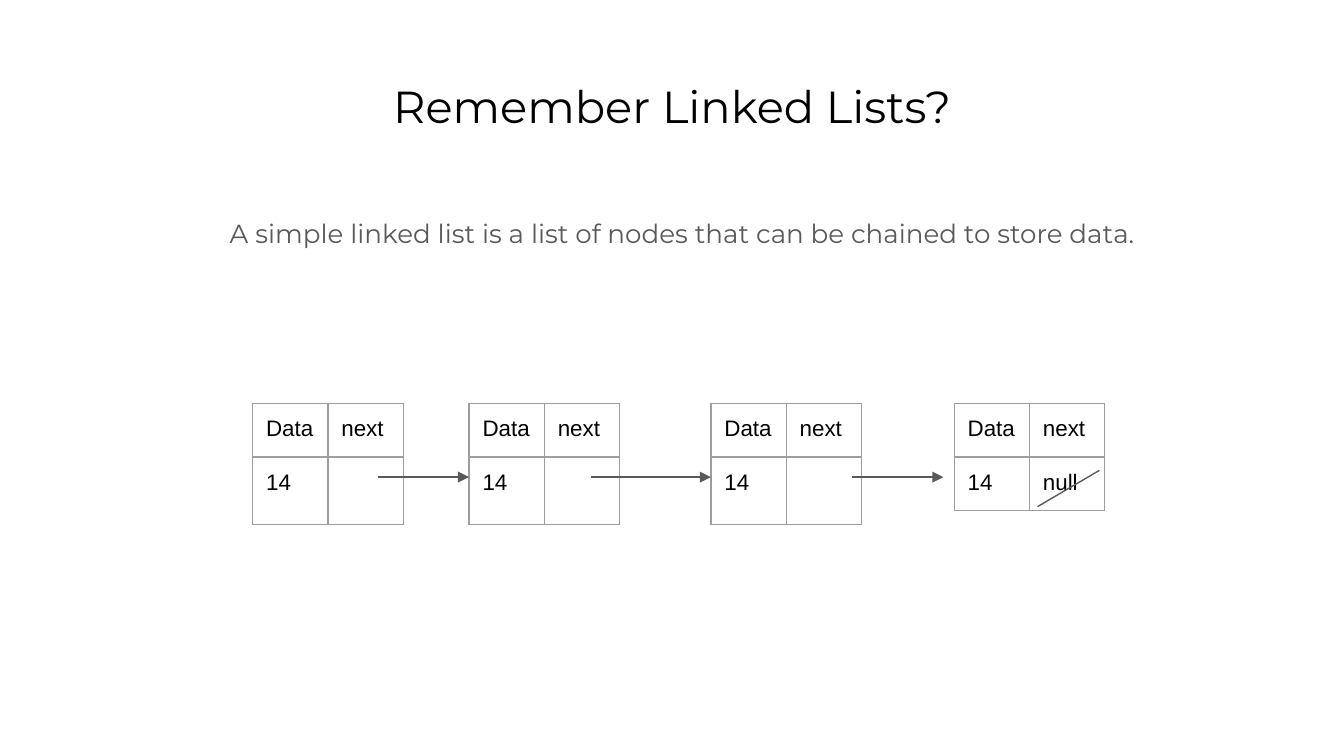
from lxml.etree import SubElement
from pptx import Presentation
from pptx.dml.color import RGBColor
from pptx.enum.shapes import MSO_CONNECTOR as Connector
from pptx.enum.text import MSO_ANCHOR as Anchor, PP_ALIGN as Align
from pptx.oxml.ns import qn
from pptx.util import Inches, Pt


def color(hex_code):
    return RGBColor.from_string(hex_code)


def write(frame, text, size=12, font="Arial", ink="000000", align=Align.LEFT,
          spacing=None, top=0.1):
    frame.word_wrap = True
    frame.vertical_anchor = Anchor.TOP
    frame.margin_left = frame.margin_right = frame.margin_bottom = Inches(0.1)
    frame.margin_top = Inches(top)
    paragraph = frame.paragraphs[0]
    paragraph.alignment = align
    paragraph.line_spacing = spacing
    run = paragraph.add_run()
    run.text = text
    run.font.size = Pt(size)
    run.font.name = font
    run.font.color.rgb = color(ink)


# Widescreen slide, 16 to 9
presentation = Presentation()
presentation.slide_width = Inches(10)
presentation.slide_height = Inches(10 * 9 / 16)
slide = presentation.slides.add_slide(presentation.slide_layouts[5])

# Grid: 100 columns across the slide, with rows of the same size
unit = presentation.slide_width / 100

# Title
title = slide.shapes.title
title.left, title.top = int(3.4 * unit), int(4.87 * unit)
title.width, title.height = int(93.2 * unit), int(6.3 * unit)
write(title.text_frame, "Remember Linked Lists?", size=24, font="Montserrat",
      align=Align.CENTER)

# Explanation
body = slide.shapes.add_textbox(int(4.2 * unit), int(11.1 * unit),
                                int(93.2 * unit), int(37.4 * unit))
write(body.text_frame,
      "A simple linked list is a list of nodes that can be chained to store data.",
      size=14, font="Montserrat", ink="595959", align=Align.CENTER,
      spacing=1.15, top=0.78)

# Nodes: one small table each, the last one ending the list
node_top, cell_width, cell_height, frame_size = 30, 5.6, 3.6, 32.8
for node_left, link in [(18.8, ""), (34.9, ""), (52.9, ""), (71, "null")]:
    node_frame = slide.shapes.add_table(
        2, 2, int(node_left * unit), int(node_top * unit),
        int(2 * cell_width * unit), int(2 * cell_height * unit))
    node_frame.width = node_frame.height = int(frame_size * unit)
    node = node_frame.table
    node.first_row = node.horz_banding = False
    for row, texts in enumerate([("Data", "next"), ("14", link)]):
        for column, text in enumerate(texts):
            cell = node.cell(row, column)
            cell.margin_left = cell.margin_right = Inches(0.1)
            cell.margin_top = cell.margin_bottom = Inches(0.1)
            if text:
                write(cell.text_frame, text)
            properties = cell._tc.get_or_add_tcPr()
            for side in ("a:lnL", "a:lnR", "a:lnT", "a:lnB"):
                border = SubElement(properties, qn(side), w=str(Pt(0.75)))
                fill = SubElement(border, qn("a:solidFill"))
                SubElement(fill, qn("a:srgbClr"), val="9E9E9E")
            cell.fill.background()

# Arrows between the nodes, and the stroke through null
link_row = 35.5
for start_x, start_y, end_x, end_y, arrow in [
        (28.1, link_row, 34.9, link_row, True),
        (44, link_row, 52.9, link_row, True),
        (63.4, link_row, 70.2, link_row, True),
        (77.2, 37.7, 81.8, 35, False)]:
    line = slide.shapes.add_connector(
        Connector.STRAIGHT, int(start_x * unit), int(start_y * unit),
        int(end_x * unit), int(end_y * unit))
    line.line.color.rgb = color("595959")
    line.line.width = Pt(0.75)
    if arrow:
        SubElement(line.line._get_or_add_ln(), qn("a:tailEnd"), type="triangle")
    SubElement(line._element.spPr, qn("a:effectLst"))

presentation.save("out.pptx")
